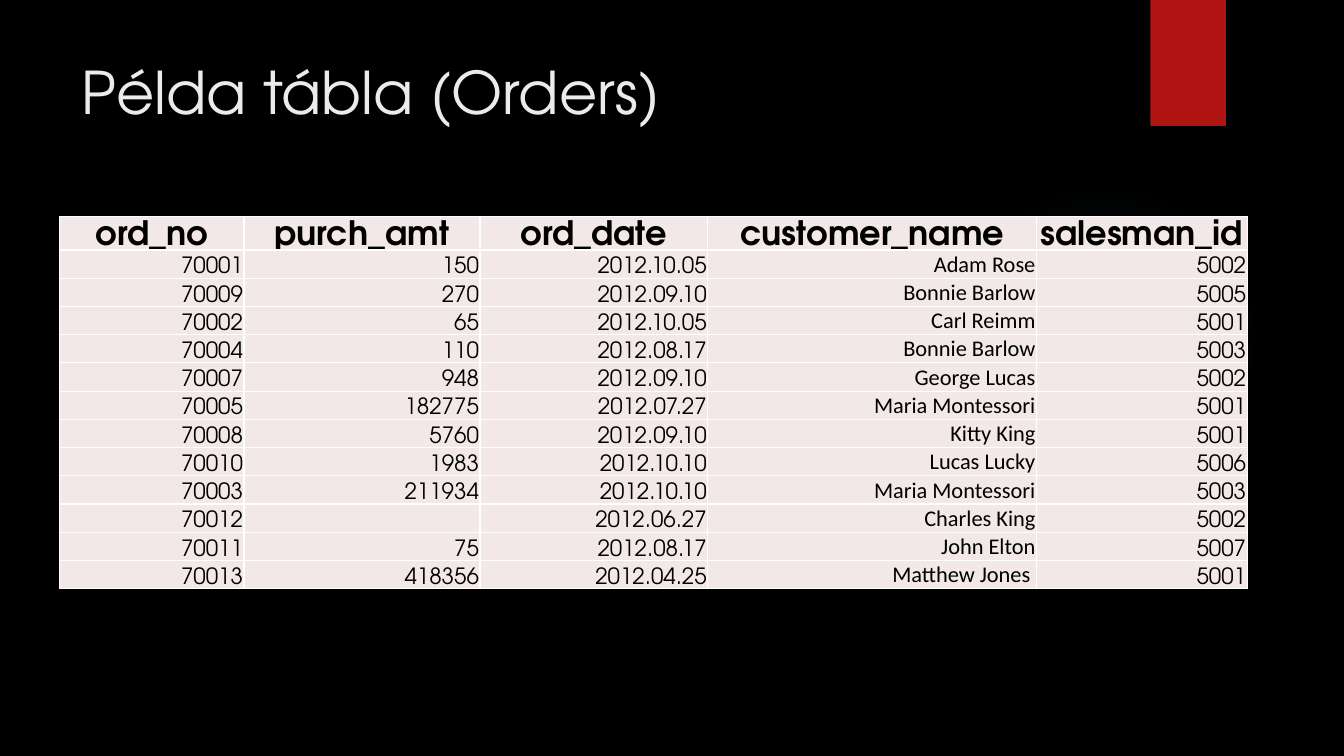
from dataclasses import astuple, dataclass

from lxml.etree import SubElement
from pptx import Presentation
from pptx.dml.color import RGBColor
from pptx.enum.shapes import MSO_SHAPE
from pptx.enum.text import MSO_ANCHOR, PP_ALIGN
from pptx.oxml import parse_xml
from pptx.oxml.ns import nsdecls, qn
from pptx.slide import Slide
from pptx.table import _Cell
from pptx.text.text import _Paragraph
from pptx.util import Inches, Pt


@dataclass(frozen=True)
class Theme:
    background: str = "000000"
    title: str = "EBEBEB"
    accent: str = "B01513"
    glow: str = "50B9C1"
    cell: str = "F2E8E7"
    ink: str = "000000"
    border: str = "FFFFFF"
    main_font: str = "TeX Gyre Adventor"
    name_font: str = "Calibri"
    title_size: int = 42
    heading_size: int = 24
    heading_spacing: float = 0.8
    body_size: int = 16
    border_width: int = 1


@dataclass(frozen=True)
class Column:
    heading: str
    width: float
    font: str


@dataclass(frozen=True)
class Order:
    ord_no: str
    purch_amt: str
    ord_date: str
    customer_name: str
    salesman_id: str


THEME = Theme()
ROW_HEIGHT = 0.28

COLUMNS = [
    Column("ord_no", 1.83, THEME.main_font),
    Column("purch_amt", 2.34, THEME.main_font),
    Column("ord_date", 2.26, THEME.main_font),
    Column("customer_name", 3.26, THEME.name_font),
    Column("salesman_id", 2.09, THEME.main_font),
]

ORDERS = [
    Order("70001", "150", "2012.10.05", "Adam Rose", "5002"),
    Order("70009", "270", "2012.09.10", "Bonnie Barlow", "5005"),
    Order("70002", "65", "2012.10.05", "Carl Reimm", "5001"),
    Order("70004", "110", "2012.08.17", "Bonnie Barlow", "5003"),
    Order("70007", "948", "2012.09.10", "George Lucas", "5002"),
    Order("70005", "182775", "2012.07.27", "Maria Montessori", "5001"),
    Order("70008", "5760", "2012.09.10", "Kitty King", "5001"),
    Order("70010", "1983", "2012.10.10", "Lucas Lucky", "5006"),
    Order("70003", "211934", "2012.10.10", "Maria Montessori", "5003"),
    Order("70012", "", "2012.06.27", "Charles King", "5002"),
    Order("70011", "75", "2012.08.17", "John Elton", "5007"),
    Order("70013", "418356", "2012.04.25", "Matthew Jones ", "5001"),
]


def add_run(paragraph: _Paragraph, text: str, font: str, size: int,
            color: str, bold: bool = False) -> None:
    run = paragraph.add_run()
    run.text = text
    run.font.name = font
    run.font.size = Pt(size)
    run.font.bold = bold
    run.font.color.rgb = RGBColor.from_string(color)


def add_glow(slide: Slide) -> None:
    """Add the faint round light that fades out towards its edge."""
    glow = slide.shapes.add_shape(
        MSO_SHAPE.OVAL, Inches(9.41), Inches(1.83), Inches(3.08), Inches(3.08))
    glow.shadow.inherit = False
    glow.line.fill.background()
    stops = "".join(
        f'<a:gs pos="{position * 1000}"><a:srgbClr val="{THEME.glow}">'
        f'<a:alpha val="{alpha * 1000}"/></a:srgbClr></a:gs>'
        for position, alpha in ((0, 7), (36, 6), (69, 0), (100, 0)))
    gradient = parse_xml(
        f'<a:gradFill {nsdecls("a")}><a:gsLst>{stops}</a:gsLst>'
        '<a:path path="circle"><a:fillToRect l="50000" t="50000" '
        'r="50000" b="50000"/></a:path></a:gradFill>')
    glow._element.spPr.find(qn("a:prstGeom")).addnext(gradient)


def add_ribbon(slide: Slide) -> None:
    ribbon = slide.shapes.add_shape(
        MSO_SHAPE.RECTANGLE, Inches(11.41), 0, Inches(0.75), Inches(1.25))
    ribbon.shadow.inherit = False
    ribbon.fill.solid()
    ribbon.fill.fore_color.rgb = RGBColor.from_string(THEME.accent)
    ribbon.line.fill.background()


def add_title(slide: Slide, text: str) -> None:
    frame = slide.shapes.add_textbox(
        Inches(0.71), Inches(0.5), Inches(10.29), Inches(1.53)).text_frame
    frame.word_wrap = True
    frame.vertical_anchor = MSO_ANCHOR.TOP
    add_run(frame.paragraphs[0], text, THEME.main_font, THEME.title_size, THEME.title)


def add_borders(cell: _Cell) -> None:
    properties = cell._tc.get_or_add_tcPr()
    for index, side in enumerate(("lnL", "lnR", "lnT", "lnB")):
        properties.insert(index, parse_xml(
            f'<a:{side} {nsdecls("a")} w="{Pt(THEME.border_width)}"><a:solidFill>'
            f'<a:srgbClr val="{THEME.border}"/></a:solidFill></a:{side}>'))


def fill_cell(cell: _Cell, text: str, font: str, is_heading: bool) -> None:
    cell.fill.solid()
    cell.fill.fore_color.rgb = RGBColor.from_string(THEME.cell)
    add_borders(cell)
    cell.margin_left = cell.margin_right = cell.margin_top = Inches(0.01)
    cell.margin_bottom = 0
    cell.vertical_anchor = MSO_ANCHOR.BOTTOM
    paragraph = cell.text_frame.paragraphs[0]
    paragraph.alignment = PP_ALIGN.CENTER if is_heading else PP_ALIGN.RIGHT
    if is_heading:
        paragraph.line_spacing = THEME.heading_spacing
    size = THEME.heading_size if is_heading else THEME.body_size
    if text:
        add_run(paragraph, text, font, size, THEME.ink, is_heading)
    else:
        SubElement(paragraph._p, qn("a:endParaRPr"), sz=str(size * 100))


def add_orders_table(slide: Slide) -> None:
    rows = [tuple(column.heading for column in COLUMNS), *map(astuple, ORDERS)]
    table = slide.shapes.add_table(
        len(rows), len(COLUMNS), Inches(0.59), Inches(2.15),
        Inches(sum(column.width for column in COLUMNS)),
        Inches(ROW_HEIGHT * len(rows))).table
    table.first_row = table.horz_banding = False
    for index, column in enumerate(COLUMNS):
        table.columns[index].width = Inches(column.width)
    for row_index, values in enumerate(rows):
        table.rows[row_index].height = Inches(ROW_HEIGHT)
        is_heading = row_index == 0
        for index, (column, value) in enumerate(zip(COLUMNS, values)):
            font = THEME.main_font if is_heading else column.font
            fill_cell(table.cell(row_index, index), value, font, is_heading)


def main() -> None:
    presentation = Presentation()
    presentation.slide_width = Inches(13.33)
    presentation.slide_height = Inches(7.5)
    slide = presentation.slides.add_slide(presentation.slide_layouts[6])
    slide.background.fill.solid()
    slide.background.fill.fore_color.rgb = RGBColor.from_string(THEME.background)
    add_glow(slide)
    add_ribbon(slide)
    add_title(slide, "Példa tábla (Orders)")
    add_orders_table(slide)
    presentation.save("out.pptx")


if __name__ == "__main__":
    main()
